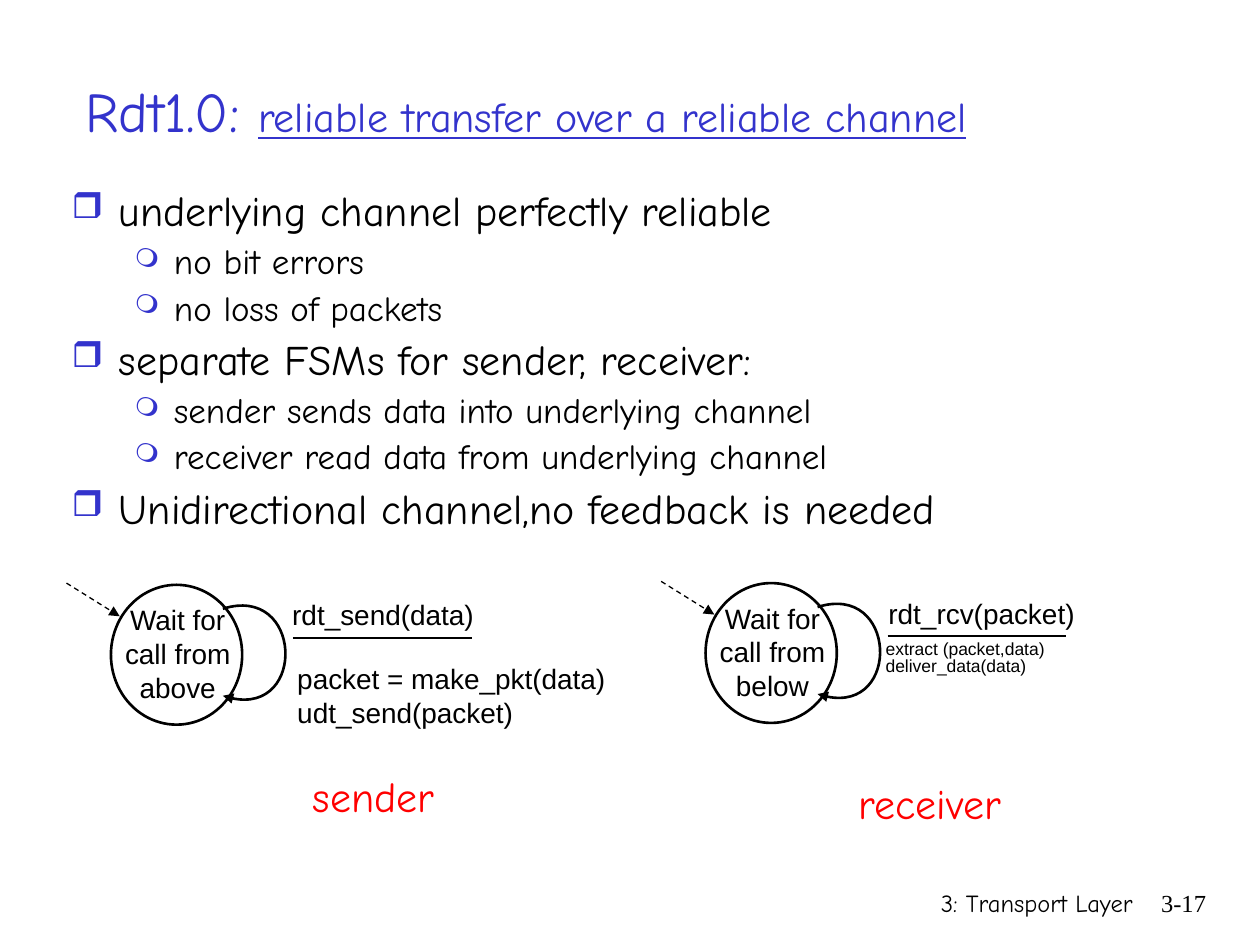
"""Build the Rdt1.0 slide with its sender and receiver state machines."""
from dataclasses import dataclass
from typing import Optional

from lxml import etree
from pptx import Presentation
from pptx.dml.color import RGBColor
from pptx.enum import dml, shapes, text
from pptx.oxml.ns import qn
from pptx.util import Pt


@dataclass(frozen=True)
class Theme:
    ink: str = "000000"
    paper: str = "FFFFFF"
    accent: str = "3333CC"
    role: str = "FF0000"
    hand: str = "Comic Neue"
    sans: str = "Arial"
    serif: str = "Times New Roman"
    title: float = 32
    large: float = 24
    medium: float = 20
    label: float = 16
    footer: float = 14
    small: float = 10
    rule: float = 1.5
    thin: float = 0.75


T = Theme()


@dataclass(frozen=True)
class Box:
    x: float
    y: float
    w: float
    h: float

    def emu(self) -> tuple:
        return Pt(self.x), Pt(self.y), Pt(self.w), Pt(self.h)

    def shift(self, dx: float, dy: float) -> "Box":
        return Box(self.x + dx, self.y + dy, self.w, self.h)


@dataclass(frozen=True)
class Label:
    text: str
    box: Box
    size: float = T.label
    font: str = T.sans
    color: str = T.ink
    align: text.PP_ALIGN = text.PP_ALIGN.LEFT
    wrap: bool = True
    spacing: Optional[float] = None


@dataclass(frozen=True)
class Level:
    size: float
    margin: float
    indent: float
    before: float
    bullet: str
    percent: int


@dataclass(frozen=True)
class Machine:
    x: float
    y: float
    state: str
    event: Label
    action: Label
    role: Label


LEVELS = (Level(T.large, 27, -27, 6, "❒", 85),
          Level(T.medium, 58.5, -22.5, 5, "❍", 75))
OUTLINE = (
    (0, "underlying channel perfectly reliable"),
    (1, "no bit errors"),
    (1, "no loss of packets"),
    (0, "separate FSMs for sender, receiver:"),
    (1, "sender sends data into underlying channel"),
    (1, "receiver read data from underlying channel"),
    (0, "Unidirectional channel,no feedback is needed"),
)
CENTER, RIGHT = text.PP_ALIGN.CENTER, text.PP_ALIGN.RIGHT
MACHINES = (
    Machine(63.4, 334.2, "Wait for call from above",
            Label("rdt_send(data)", Box(159.9, 337.8, 178, 34)),
            Label("packet = make_pkt(data)\nudt_send(packet)",
                  Box(162.8, 374.5, 211, 47)),
            Label("sender ", Box(167.8, 437, 91.4, 36), T.large, T.hand,
                  T.role, CENTER, False)),
    Machine(403.2, 333.2, "Wait for call from below",
            Label("rdt_rcv(packet)", Box(500.4, 337.5, 121, 26.6),
                  align=CENTER, wrap=False),
            Label("extract (packet,data)\ndeliver_data(data)",
                  Box(499, 363.4, 196, 34), T.small, spacing=0.8),
            Label("receiver", Box(483.1, 440.6, 96.5, 36), T.large, T.hand,
                  T.role, CENTER, False)),
)
FOOTERS = (
    Label("3: Transport Layer", Box(426.2, 504, 228.2, 36), T.footer, T.hand,
          align=RIGHT),
    Label("3-17", Box(643, 504, 53.3, 36), T.footer, T.serif, align=RIGHT),
)


def style(r, size: float, font: str, color: str) -> None:
    """Format one run."""
    r.font.size, r.font.name = Pt(size), font
    r.font.color.rgb = RGBColor.from_string(color)


def add_label(s, label: Label) -> None:
    """Add a text box in one style."""
    tf = s.shapes.add_textbox(*label.box.emu()).text_frame
    tf.word_wrap = label.wrap
    tf.text = label.text
    for p in tf.paragraphs:
        p.alignment = label.align
        if label.spacing:
            p.line_spacing = label.spacing
        style(p.runs[0], label.size, label.font, label.color)


def add_title(s) -> None:
    """Fill and place the title."""
    sp = s.shapes.title
    sp.left, sp.top, sp.width, sp.height = Box(41.8, 18, 630, 90).emu()
    tf = sp.text_frame
    tf.auto_size = text.MSO_AUTO_SIZE.NONE
    tf.vertical_anchor = text.MSO_ANCHOR.MIDDLE
    p = tf.paragraphs[0]
    p.text = "Rdt1.0: "
    p.alignment = text.PP_ALIGN.LEFT
    style(p.runs[0], T.title, T.hand, T.accent)
    r = p.add_run()
    r.text = "reliable transfer over a reliable channel"
    style(r, T.large, T.hand, T.accent)
    r.font.underline = True


def add_bullet(p, level: Level) -> None:
    """Give a paragraph its hanging bullet."""
    pr = p._p.get_or_add_pPr()
    pr.set("marL", str(Pt(level.margin)))
    pr.set("indent", str(Pt(level.indent)))
    color = etree.SubElement(pr, qn("a:buClr"))
    etree.SubElement(color, qn("a:srgbClr"), val=T.accent)
    etree.SubElement(pr, qn("a:buSzPct"), val=str(level.percent * 1000))
    etree.SubElement(pr, qn("a:buChar"), char=level.bullet)


def add_outline(s) -> None:
    """Add the two-level bullet list."""
    tf = s.shapes.add_textbox(*Box(33.8, 105.1, 622, 214.6).emu()).text_frame
    tf.word_wrap = True
    tf.text = "\n".join(line for _, line in OUTLINE)
    for i, (p, (depth, _)) in enumerate(zip(tf.paragraphs, OUTLINE)):
        level = LEVELS[depth]
        p.level = depth
        add_bullet(p, level)
        p.line_spacing = 0.9
        p.space_before = Pt(level.before if i else 0)
        style(p.runs[0], level.size, T.hand, T.ink)


def set_line(sp, width: float, arrow: bool = False) -> None:
    """Set a black line, with an arrowhead at its end if asked."""
    sp.line.width = Pt(width)
    sp.line.color.rgb = RGBColor.from_string(T.ink)
    if arrow:
        etree.SubElement(sp.line._get_or_add_ln(), qn("a:tailEnd"), type="triangle")


def add_line(s, x1: float, y1: float, x2: float, y2: float,
             width: float = T.rule, entry: bool = False) -> None:
    """Add a straight rule or a dashed entry arrow."""
    c = s.shapes.add_connector(shapes.MSO_CONNECTOR.STRAIGHT,
                               Pt(x1), Pt(y1), Pt(x2), Pt(y2))
    if entry:
        c.line.dash_style = dml.MSO_LINE.DASH
    set_line(c, width, entry)
    etree.SubElement(c._element.spPr, qn("a:effectLst"))


def add_loop(s, x: float, y: float) -> None:
    """Add the curved transition from a state back to itself."""
    points = ((64, 13.7), (109.4, -0.7), (112.3, 79.9), (64, 63.4))
    start, *rest = [(Pt(x + dx), Pt(y + dy)) for dx, dy in points]
    builder = s.shapes.build_freeform(*start)
    builder.add_line_segments(rest, close=False)
    sp = builder.convert_to_shape()
    segments = list(sp._element.iter(qn("a:lnTo")))
    curve = etree.SubElement(segments[0].getparent(), qn("a:cubicBezTo"))
    for segment in segments:
        curve.append(segment[0])
        segment.getparent().remove(segment)
    sp.shadow.inherit = False
    sp.fill.background()
    set_line(sp, T.rule, True)


def add_machine(s, m: Machine) -> None:
    """Draw one state with its entry, transition and captions."""
    sp = s.shapes.add_shape(shapes.MSO_SHAPE.OVAL, *Box(m.x, m.y, 75, 79.9).emu())
    sp.shadow.inherit = False
    sp.fill.solid()
    sp.fill.fore_color.rgb = RGBColor.from_string(T.paper)
    set_line(sp, T.rule)
    add_label(s, Label(m.state, Box(-5, 6.8, 86.4, 72).shift(m.x, m.y), align=CENTER))
    add_loop(s, m.x, m.y)
    add_line(s, m.x + 104, m.y + 30.3, m.x + 206.2, m.y + 30.3)
    add_line(s, m.x - 25.4, m.y - 1, m.x + 5, m.y + 18, T.thin, True)
    for label in (m.event, m.action, m.role):
        add_label(s, label)


def main() -> None:
    """Build and save the slide."""
    prs = Presentation()
    prs.slide_width, prs.slide_height = Pt(720), Pt(540)
    s = prs.slides.add_slide(prs.slide_layouts[5])
    for label in FOOTERS:
        add_label(s, label)
    add_title(s)
    add_outline(s)
    for machine in MACHINES:
        add_machine(s, machine)
    prs.save("out.pptx")


if __name__ == "__main__":
    main()
